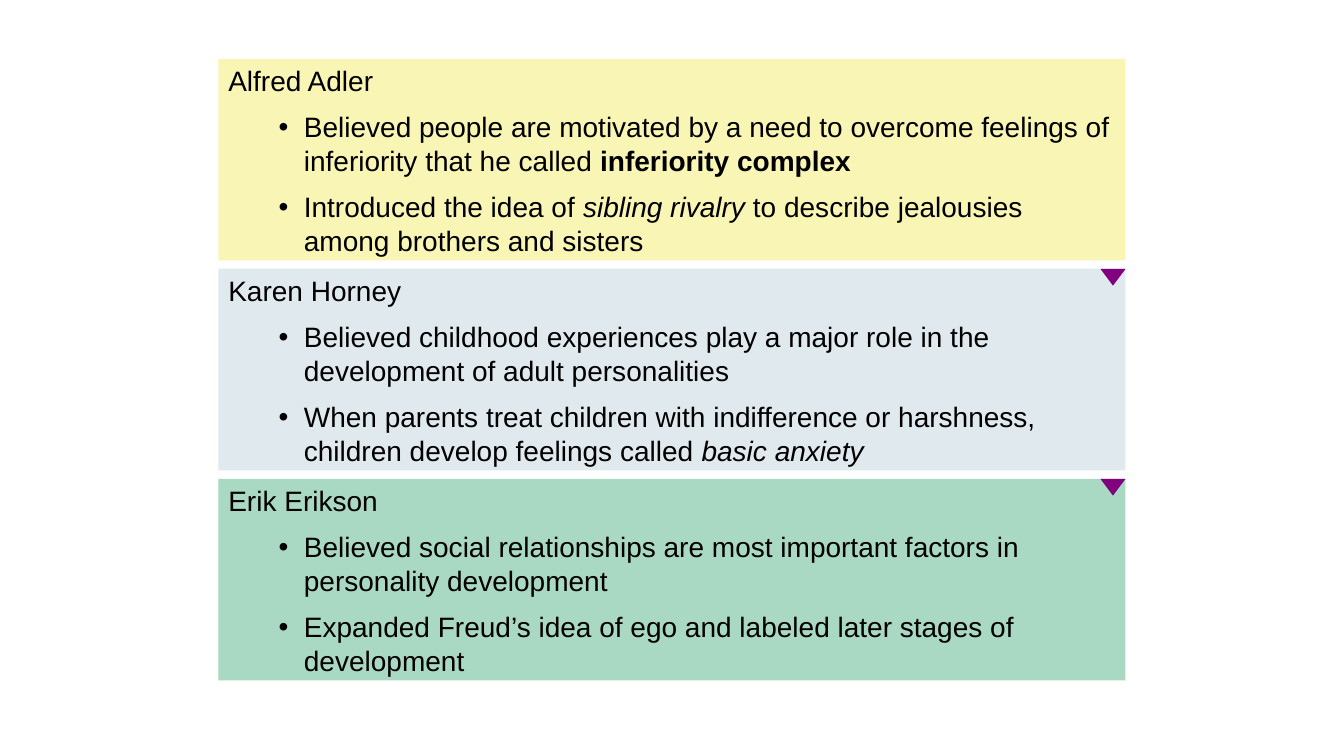
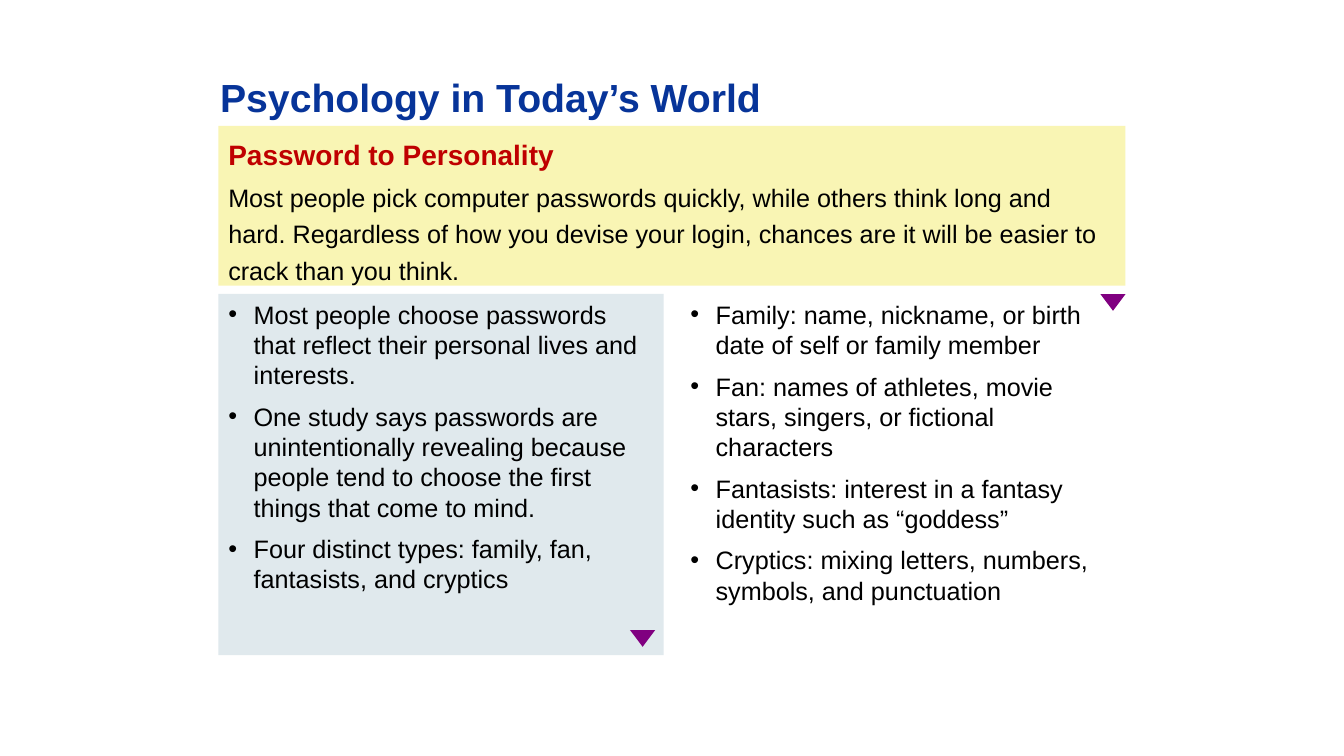
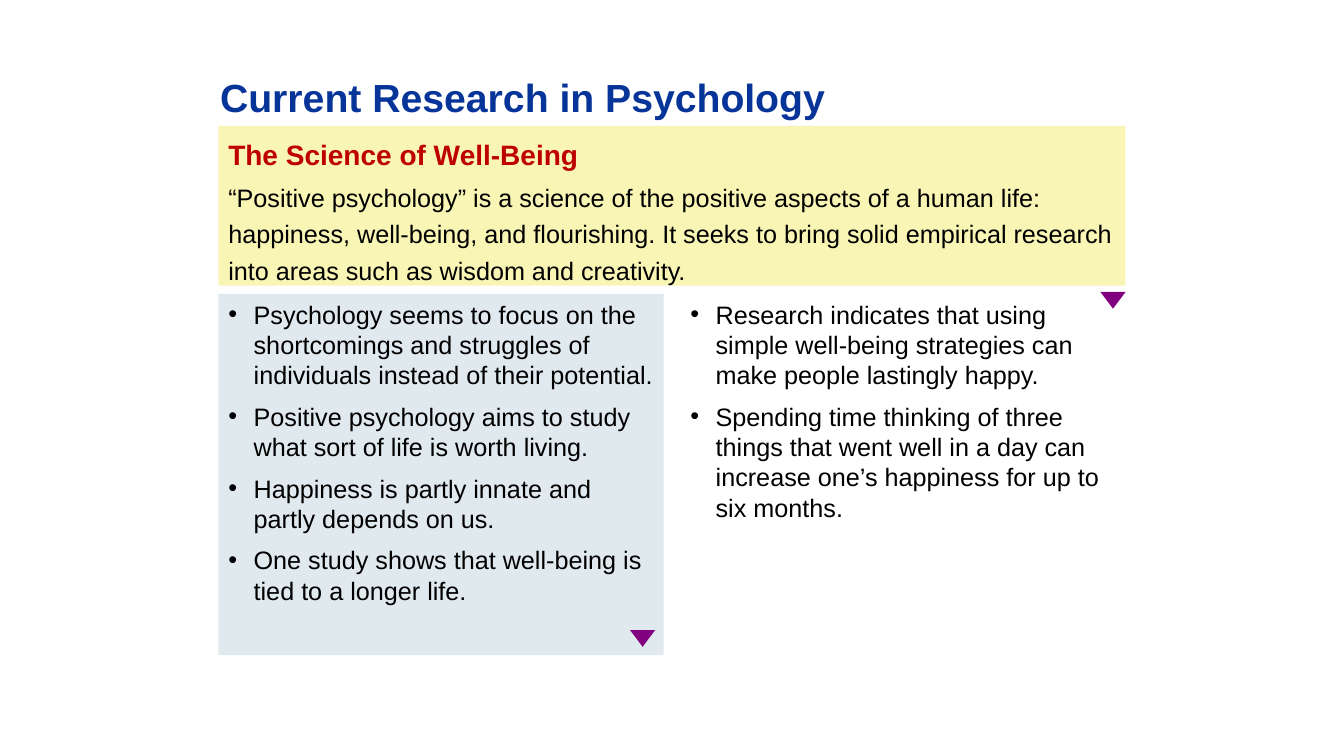
import pptx
import pptx.dml.color
import pptx.enum.shapes
import pptx.enum.text
import pptx.util
from lxml import etree
from pptx.oxml.ns import qn

EMU_PER_PX = 9525
ANCHOR = pptx.enum.text.MSO_ANCHOR
SHAPE = pptx.enum.shapes.MSO_SHAPE


def px(length):
    return pptx.util.Emu(length * EMU_PER_PX)


def color(hex_string):
    return pptx.dml.color.RGBColor.from_string(hex_string)


class Deck:
    """Holds the shared style, the presentation and the current slide."""

    FONT = "Arial"
    BLACK, BLUE, RED, PURPLE = "000000", "073499", "BF0000", "800080"
    YELLOW, GRAY, GREEN = "F9F5B4", "E0E9ED", "A9D8C3"
    LEFT, WIDTH, GAP = 208, 864, 8
    RIGHT = LEFT + WIDTH
    COLUMN_WIDTH = 424
    MARKER_WIDTH, MARKER_HEIGHT = 24, 16
    TWO_CONTENT, BLANK = 3, 6

    def __init__(self):
        self.presentation = pptx.Presentation()
        self.presentation.slide_width = px(1280)
        self.presentation.slide_height = px(720)
        self.slide = None

    def add_slide(self, layout):
        layouts = self.presentation.slide_layouts
        self.slide = self.presentation.slides.add_slide(layouts[layout])

    def place(self, shape, left, top, width, height, fill=None, anchor=ANCHOR.TOP):
        """Position a text shape and give it the shared frame settings."""
        shape.left, shape.top = px(left), px(top)
        shape.width, shape.height = px(width), px(height)
        if fill:
            shape.fill.solid()
            shape.fill.fore_color.rgb = color(fill)
        frame = shape.text_frame
        frame.word_wrap = True
        frame.auto_size = pptx.enum.text.MSO_AUTO_SIZE.NONE
        frame.vertical_anchor = anchor
        return shape

    def shape(self, preset, left, top, width, height, fill):
        shape = self.slide.shapes.add_shape(
            preset, px(left), px(top), px(width), px(height))
        shape.shadow.inherit = False
        shape.line.fill.background()
        shape.fill.solid()
        shape.fill.fore_color.rgb = color(fill)
        return shape

    def panel(self, top, height, fill):
        box = (self.LEFT, top, self.WIDTH, height)
        return self.place(self.shape(SHAPE.RECTANGLE, *box, fill), *box)

    def marker(self, right, top):
        """Draw a triangle that points down."""
        triangle = self.shape(SHAPE.ISOSCELES_TRIANGLE, right - self.MARKER_WIDTH, top,
                              self.MARKER_WIDTH, self.MARKER_HEIGHT, self.PURPLE)
        triangle.rotation = 180

    def add_text(self, shape, text, size=18, fill=BLACK, bold=False, level=0,
                 margin=0, bullet=False, before=0.2, after=0.25, line=1.0):
        """Add a paragraph; text is a string or a list of (string, font flags).

        Spacing before and after is a share of the size.
        """
        frame = shape.text_frame
        paragraph = frame.paragraphs[0]
        first = not paragraph.runs
        if not first:
            paragraph = frame.add_paragraph()
        properties = paragraph._p.get_or_add_pPr()
        properties.set("marL", str(px(margin)))
        properties.set("indent", str(px(-24 if bullet else 0)))
        if bullet:
            etree.SubElement(properties, qn("a:buFont")).set("typeface", self.FONT)
            etree.SubElement(properties, qn("a:buChar")).set("char", "•")
        else:
            etree.SubElement(properties, qn("a:buNone"))
        paragraph.level = level
        paragraph.alignment = pptx.enum.text.PP_ALIGN.LEFT
        paragraph.line_spacing = line
        paragraph.space_before = pptx.util.Pt(0 if first else size * before)
        paragraph.space_after = pptx.util.Pt(size * after)
        for content, flags in [(text, {})] if isinstance(text, str) else text:
            run = paragraph.add_run()
            run.text = content
            run.font.name = self.FONT
            run.font.size = pptx.util.Pt(size)
            run.font.color.rgb = color(fill)
            run.font.bold = flags.get("bold", bold)
            run.font.italic = flags.get("italic", False)

    def title(self, text):
        shape = self.place(self.slide.shapes.title, 200, 64, 856, 56,
                           anchor=ANCHOR.MIDDLE)
        self.add_text(shape, text, size=28, fill=self.BLUE, bold=True, after=0)

    def introduction(self, heading, text):
        panel = self.panel(120, 152, self.YELLOW)
        self.add_text(panel, heading, size=20, fill=self.RED, bold=True, after=0,
                      line=1.2)
        self.add_text(panel, text, after=0, line=1.2)

    def column(self, index, left, items, fill=None):
        shape = self.place(self.slide.placeholders[index], left, 280,
                           self.COLUMN_WIDTH, 344, fill)
        for item in items:
            self.add_text(shape, item, margin=24, bullet=True)

    def theorists_slide(self, theorists):
        self.add_slide(self.BLANK)
        height = 192
        for row, (name, fill, beliefs) in enumerate(theorists):
            top = 56 + row * (height + self.GAP)
            panel = self.panel(top, height, fill)
            self.add_text(panel, name, size=20)
            for belief in beliefs:
                self.add_text(panel, belief, size=20, level=1, margin=72, bullet=True)
            if row:
                self.marker(self.RIGHT, top)

    def feature_slide(self, title, heading, text, left_items, right_items, marker_top):
        self.add_slide(self.TWO_CONTENT)
        self.title(title)
        self.introduction(heading, text)
        self.column(1, self.LEFT, left_items, self.GRAY)
        self.column(2, self.RIGHT - self.COLUMN_WIDTH, right_items)
        self.marker(self.RIGHT, marker_top)
        self.marker(self.LEFT + self.COLUMN_WIDTH - self.GAP, 600)


def main():
    deck = Deck()
    deck.theorists_slide([
        ("Alfred Adler", deck.YELLOW, [
            [("Believed people are motivated by a need to overcome feelings of "
              "inferiority that he called ", {}),
             ("inferiority complex", {"bold": True})],
            [("Introduced the idea of ", {}),
             ("sibling rivalry", {"italic": True}),
             (" to describe jealousies among brothers and sisters", {})],
        ]),
        ("Karen Horney", deck.GRAY, [
            "Believed childhood experiences play a major role in the development "
            "of adult personalities",
            [("When parents treat children with indifference or harshness, "
              "children develop feelings called ", {}),
             ("basic anxiety", {"italic": True})],
        ]),
        ("Erik Erikson", deck.GREEN, [
            "Believed social relationships are most important factors in "
            "personality development",
            "Expanded Freud’s idea of ego and labeled later stages of development",
        ]),
    ])
    deck.feature_slide(
        "Psychology in Today’s World",
        "Password to Personality",
        "Most people pick computer passwords quickly, while others think long and "
        "hard. Regardless of how you devise your login, chances are it will be "
        "easier to crack than you think.",
        ["Most people choose passwords that reflect their personal lives and interests.",
         "One study says passwords are unintentionally revealing because people "
         "tend to choose the first things that come to mind.",
         "Four distinct types: family, fan, fantasists, and cryptics"],
        ["Family: name, nickname, or birth date of self or family member",
         "Fan: names of athletes, movie stars, singers, or fictional characters",
         "Fantasists: interest in a fantasy identity such as “goddess”",
         "Cryptics: mixing letters, numbers, symbols, and punctuation"],
        marker_top=280)
    deck.feature_slide(
        "Current Research in Psychology",
        "The Science of Well-Being",
        "“Positive psychology” is a science of the positive aspects of a human "
        "life: happiness, well-being, and flourishing. It seeks to bring solid "
        "empirical research into areas such as wisdom and creativity.",
        ["Psychology seems to focus on the shortcomings and struggles of "
         "individuals instead of their potential.",
         "Positive psychology aims to study what sort of life is worth living.",
         "Happiness is partly innate and partly depends on us.",
         "One study shows that well-being is tied to a longer life."],
        ["Research indicates that using simple well-being strategies can make "
         "people lastingly happy.",
         "Spending time thinking of three things that went well in a day can "
         "increase one’s happiness for up to six months."],
        marker_top=278)
    deck.presentation.save("out.pptx")


if __name__ == "__main__":
    main()
